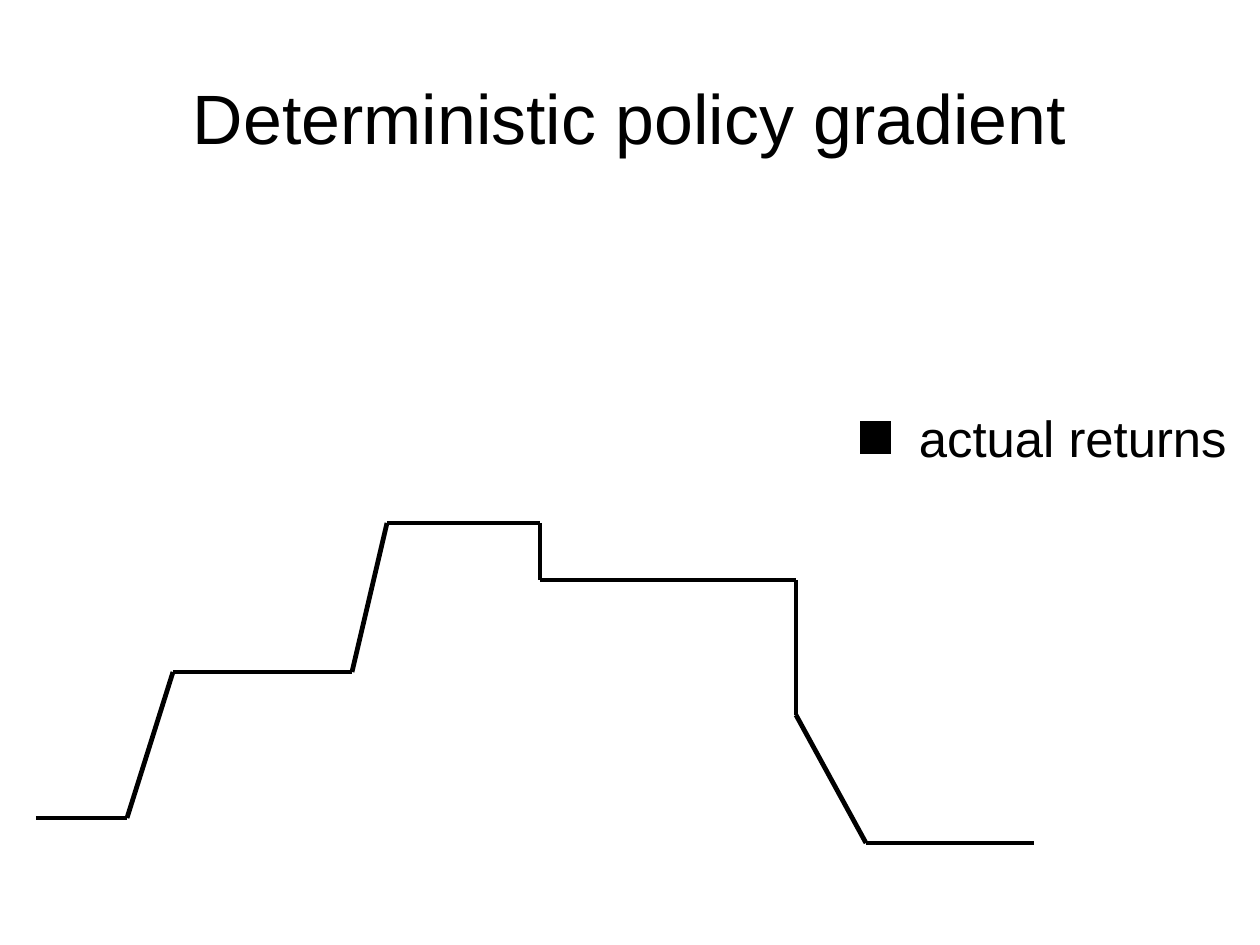
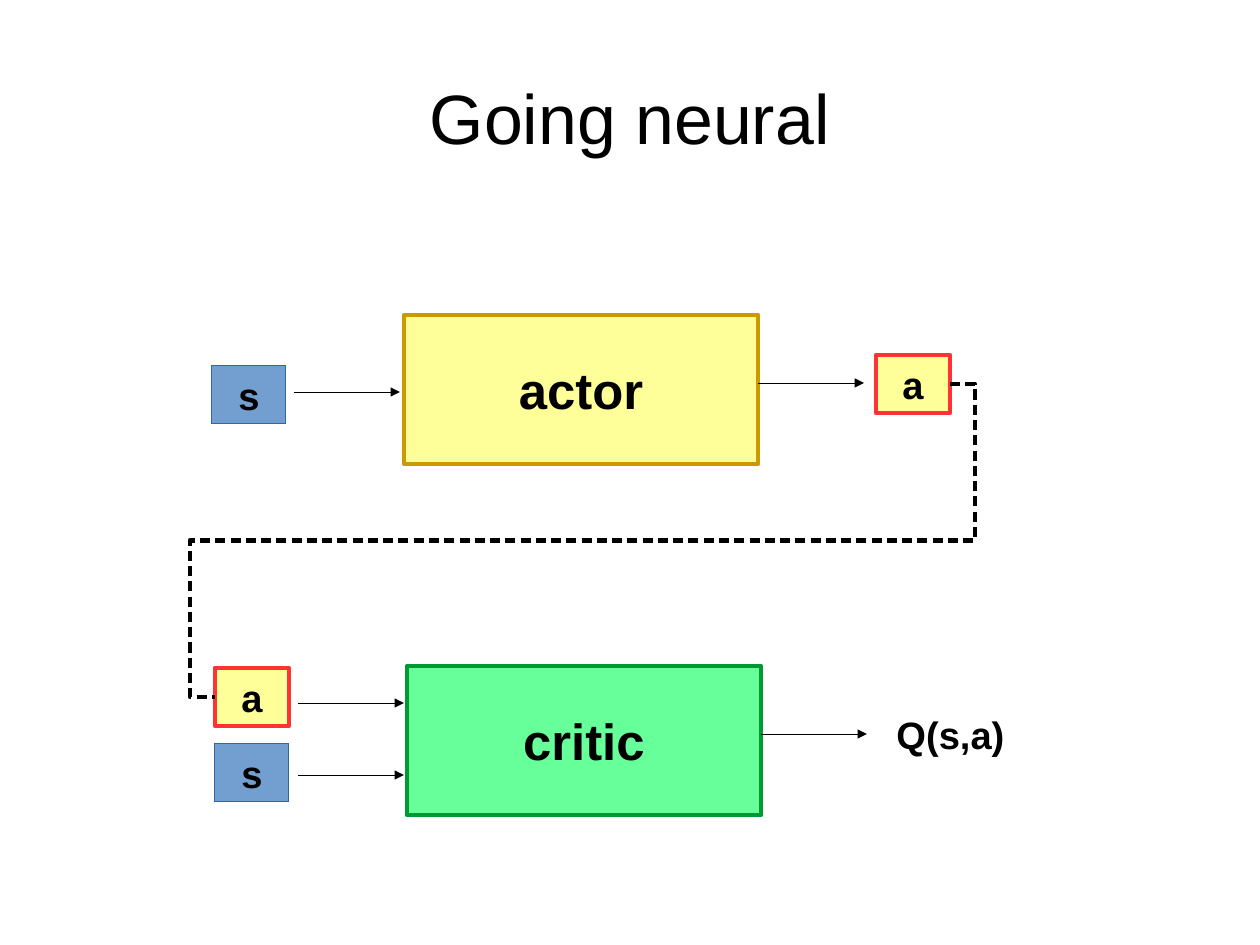
import itertools

import lxml.etree
import pptx
import pptx.dml.color
import pptx.enum.shapes
import pptx.enum.text
import pptx.oxml.ns
import pptx.util

PX = 8000  # EMU; the slide is 1260 by 945 px
FONT = "Arial"
BLACK = "000000"
YELLOW = "FFFF99"
GREEN = "66FF99"
BLUE = "729FCF"
THICK = 3
HAIRLINE = 0
TITLE_ONLY = 5
RIGHT_SIDE, LEFT_SIDE = 3, 1
BIG_SIZE = (354, 149)
SMALL_SIZE = (74, 58)
ARROW_LENGTH = 106


def px(*lengths):
    return [n * PX for n in lengths]


def rgb(color):
    return pptx.dml.color.RGBColor.from_string(color)


def add_xml(parent, tag, **attributes):
    return lxml.etree.SubElement(parent, pptx.oxml.ns.qn(tag), attributes)


def line_xml(sp):
    return sp._element.spPr.find(pptx.oxml.ns.qn("a:ln"))


def set_line(sp, color, width):
    """Write the width as XML, since python-pptx drops a width of zero."""
    sp.line.color.rgb = rgb(color)
    line_xml(sp).set("w", str(int(pptx.util.Pt(width))))


def write(tf, text, size, bold=False, align=pptx.enum.text.PP_ALIGN.CENTER,
          anchor=pptx.enum.text.MSO_ANCHOR.MIDDLE, wrap=False):
    tf.margin_left = tf.margin_right = tf.margin_top = tf.margin_bottom = 0
    tf.vertical_anchor = anchor
    tf.word_wrap = wrap
    p = tf.paragraphs[0]
    p.alignment = align
    r = p.add_run()
    r.text = text
    r.font.name = FONT
    r.font.size = pptx.util.Pt(size)
    r.font.bold = bold
    r.font.color.rgb = rgb(BLACK)


def add_slide(prs, title):
    s = prs.slides.add_slide(prs.slide_layouts[TITLE_ONLY])
    sp = s.shapes.title
    sp.left, sp.top, sp.width, sp.height = px(63, 38, 1134, 158)
    write(sp.text_frame, title, 44, wrap=True)
    return s


def add_label(s, at, text, size, **style):
    sp = s.shapes.add_textbox(*px(*at))
    write(sp.text_frame, text, size, **style)


def add_box(s, at, fill, line, width):
    sp = s.shapes.add_shape(pptx.enum.shapes.MSO_SHAPE.RECTANGLE, *px(*at))
    sp.fill.solid()
    sp.fill.fore_color.rgb = rgb(fill)
    set_line(sp, line, width)
    sp.shadow.inherit = False
    return sp


def add_network(s, left, top, name, fill, line):
    sp = add_box(s, (left, top, *BIG_SIZE), fill, line, THICK)
    write(sp.text_frame, name, 32, bold=True)


def add_state(s, left, top):
    sp = add_box(s, (left, top, *SMALL_SIZE), BLUE, "3465A4", HAIRLINE)
    write(sp.text_frame, "s", 24, bold=True)


def add_action(s, left, top):
    sp = add_box(s, (left, top, *SMALL_SIZE), YELLOW, "FF3333", THICK)
    write(sp.text_frame, "a", 24, bold=True)
    return sp


def add_line(s, start, end, width, kind=pptx.enum.shapes.MSO_CONNECTOR.STRAIGHT):
    c = s.shapes.add_connector(kind, *px(*start, *end))
    set_line(c, BLACK, width)
    add_xml(c._element.spPr, "a:effectLst")
    return c


def add_arrow(s, left, y):
    c = add_line(s, (left, y), (left + ARROW_LENGTH, y), HAIRLINE)
    add_xml(line_xml(c), "a:tailEnd", type="triangle")


def add_feedback(s, source, target):
    """Dashed five-part connector from the right of source to the left of target."""
    c = add_line(s, (950, 384), (215, 697), THICK,
                 pptx.enum.shapes.MSO_CONNECTOR.ELBOW)
    c.begin_connect(source, RIGHT_SIDE)
    c.end_connect(target, LEFT_SIDE)
    geometry = c._element.spPr.find(pptx.oxml.ns.qn("a:prstGeom"))
    geometry.set("prst", "bentConnector5")
    guides = geometry.get_or_add_avLst()
    for i, value in enumerate((-3400, 50000, 103400), 1):
        add_xml(guides, "a:gd", name=f"adj{i}", fmla=f"val {value}")
    dash = add_xml(line_xml(c), "a:custDash")
    add_xml(dash, "a:ds", d="210000", sp="110000")


def build_policy_gradient(prs):
    s = add_slide(prs, "Deterministic policy gradient")
    returns = [(36, 818), (127, 818), (173, 672), (352, 672), (387, 523),
               (540, 523), (540, 580), (796, 580), (796, 715), (866, 843),
               (1034, 843)]
    for start, end in itertools.pairwise(returns):
        add_line(s, start, end, THICK)
    add_label(s, (919, 407, 321, 57), "actual returns", 32, wrap=True,
              align=pptx.enum.text.PP_ALIGN.LEFT,
              anchor=pptx.enum.text.MSO_ANCHOR.TOP)
    add_box(s, (861, 421, 30, 33), BLACK, BLACK, HAIRLINE)


def build_going_neural(prs):
    s = add_slide(prs, "Going neural")
    add_network(s, 404, 315, "actor", YELLOW, "CC9900")
    add_network(s, 407, 666, "critic", GREEN, "009933")
    for left, top in ((212, 366), (215, 744)):
        add_state(s, left, top)
    actor_output = add_action(s, 876, 355)
    critic_input = add_action(s, 215, 668)
    add_label(s, (874, 689, 153, 91), "Q(s,a)", 24, bold=True)
    for left, y in ((294, 392), (758, 383), (298, 703), (298, 775), (761, 734)):
        add_arrow(s, left, y)
    add_feedback(s, actor_output, critic_input)


def main():
    prs = pptx.Presentation()
    prs.slide_width, prs.slide_height = px(1260, 945)
    build_policy_gradient(prs)
    build_going_neural(prs)
    prs.save("out.pptx")


if __name__ == "__main__":
    main()
